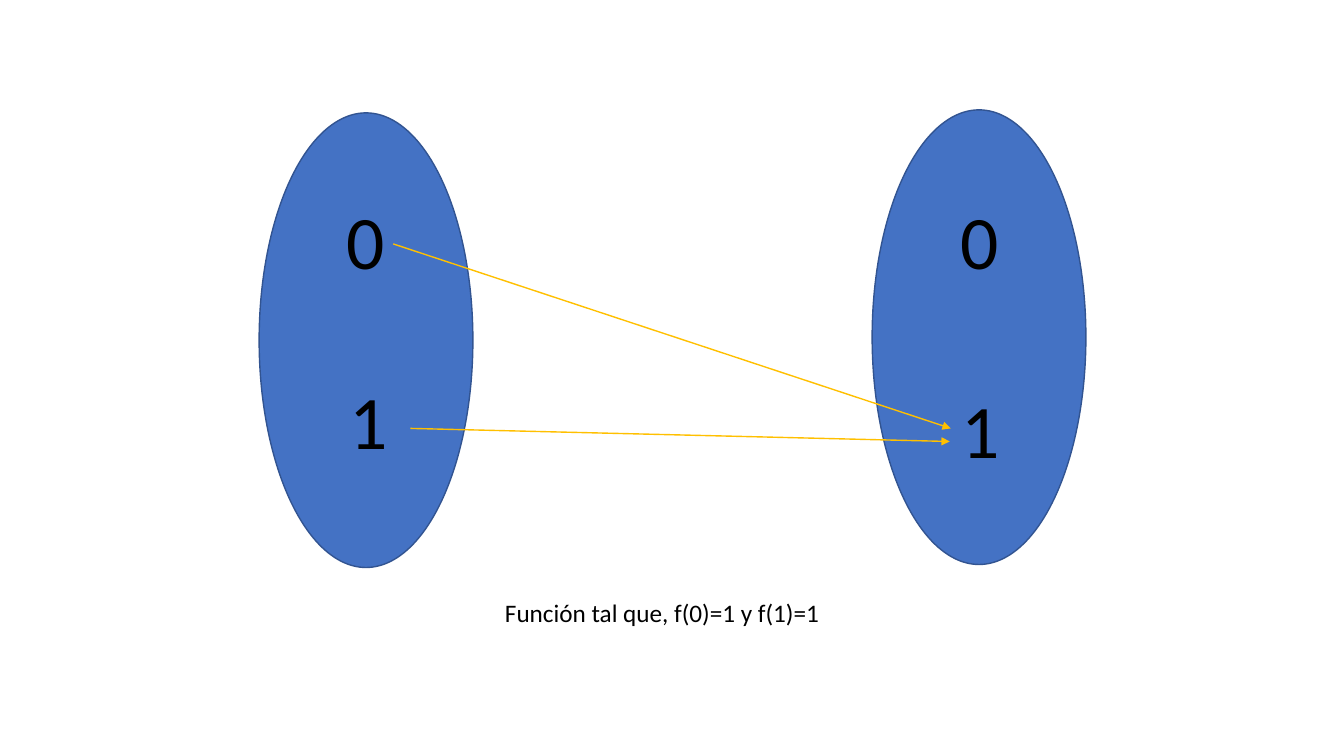
from dataclasses import dataclass

from lxml.etree import SubElement
from pptx import Presentation
from pptx.dml.color import RGBColor
from pptx.enum.shapes import MSO_CONNECTOR as CONN, MSO_SHAPE as SHAPE
from pptx.enum.text import MSO_AUTO_SIZE as FIT, PP_ALIGN as ALIGN
from pptx.oxml.ns import qn
from pptx.util import Inches, Pt


@dataclass(frozen=True)
class Theme:
    font: str = "Calibri"
    text: RGBColor = RGBColor(0x00, 0x00, 0x00)
    fill: RGBColor = RGBColor(0x44, 0x72, 0xC4)
    outline: RGBColor = RGBColor(0x32, 0x54, 0x91)
    arrow: RGBColor = RGBColor(0xFF, 0xC0, 0x00)
    element_size: int = 54
    caption_size: int = 18
    line_width: int = 1


class Diagram:
    def __init__(self, slide, theme):
        self.slide = slide
        self.theme = theme

    def ellipse(self, x, y, w, h):
        sp = self.slide.shapes.add_shape(
            SHAPE.OVAL, Inches(x), Inches(y), Inches(w), Inches(h))
        sp.shadow.inherit = False
        sp.fill.solid()
        sp.fill.fore_color.rgb = self.theme.fill
        sp.line.color.rgb = self.theme.outline
        sp.line.width = Pt(self.theme.line_width)

    def text(self, x, y, w, h, text, size, align=ALIGN.LEFT, wrap=True):
        sp = self.slide.shapes.add_textbox(
            Inches(x), Inches(y), Inches(w), Inches(h))
        tf = sp.text_frame
        tf.text = text
        tf.word_wrap = wrap
        tf.auto_size = FIT.SHAPE_TO_FIT_TEXT
        p = tf.paragraphs[0]
        p.alignment = align
        font = p.runs[0].font
        font.name = self.theme.font
        font.size = Pt(size)
        font.color.rgb = self.theme.text

    def arrow(self, x1, y1, x2, y2):
        cxn = self.slide.shapes.add_connector(
            CONN.STRAIGHT, Inches(x1), Inches(y1), Inches(x2), Inches(y2))
        cxn.line.color.rgb = self.theme.arrow
        cxn.line.width = Pt(self.theme.line_width)
        SubElement(cxn.line._get_or_add_ln(), qn("a:tailEnd"), type="triangle")
        SubElement(cxn._element.spPr, qn("a:effectLst"))


def main():
    prs = Presentation()
    prs.slide_width, prs.slide_height = Inches(13.33), Inches(7.5)
    theme = Theme()
    diagram = Diagram(prs.slides.add_slide(prs.slide_layouts[6]), theme)

    # Domain and codomain
    for x, y in [(2.57, 1.12), (8.65, 1.09)]:
        diagram.ellipse(x, y, 2.12, 4.51)

    # Elements of each set
    elements = [("0", 3.33, 1.87), ("1", 3.36, 3.66),
                ("0", 9.42, 1.87), ("1", 9.43, 3.75)]
    for label, x, y in elements:
        diagram.text(x, y, 0.59, 1.01, label, theme.element_size,
                     ALIGN.CENTER, wrap=False)

    # Mapping of both elements to 1
    diagram.arrow(3.9, 2.42, 9.43, 4.25)
    diagram.arrow(4.07, 4.25, 9.42, 4.38)

    # Caption
    diagram.text(4.91, 5.88, 3.51, 0.4, "Función tal que, f(0)=1 y f(1)=1",
                 theme.caption_size)

    prs.save("out.pptx")


if __name__ == "__main__":
    main()
